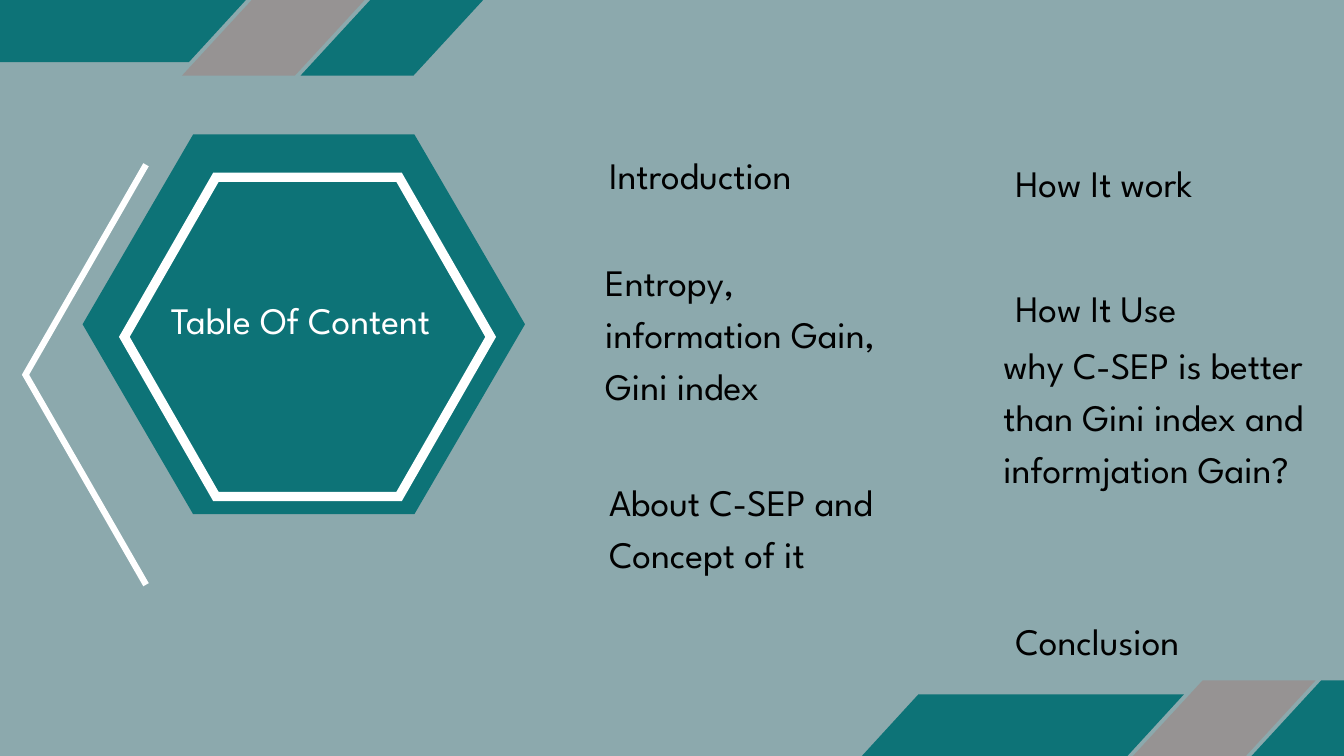
from pptx import Presentation
from pptx.dml.color import RGBColor
from pptx.enum.shapes import MSO_CONNECTOR
from pptx.enum.text import MSO_ANCHOR, MSO_AUTO_SIZE, PP_ALIGN
from pptx.oxml.ns import qn
from pptx.util import Pt
from lxml import etree

FONT = "League Spartan"
TEAL, GRAY, WHITE, BLACK = "0D7377", "969393", "FFFFFF", "000000"


def color(hex_code):
    return RGBColor.from_string(hex_code)


def add_outline(page, contours, fill):
    """Draw closed contours, given in points, as one filled shape."""
    first, *others = [[(Pt(x), Pt(y)) for x, y in contour] for contour in contours]
    builder = page.shapes.build_freeform(*first[0])
    builder.add_line_segments(first[1:])
    for contour in others:
        builder.move_to(*contour[0])
        builder.add_line_segments(contour[1:])
    shape = builder.convert_to_shape()
    shape.shadow.inherit = False
    shape.fill.solid()
    shape.fill.fore_color.rgb = color(fill)
    shape.line.fill.background()


def hexagon(left, top, width, height):
    inset, middle = width / 4, top + height / 2
    right, bottom = left + width, top + height
    return [(right, middle), (right - inset, bottom), (left + inset, bottom),
            (left, middle), (left + inset, top), (right - inset, top)]


def parallelogram(left, top, width, height, slant):
    right, bottom = left + width, top + height
    return [(left + slant, top), (right, top), (right - slant, bottom), (left, bottom)]


def add_band(page, left, top):
    """Long teal stripe followed by a gray and a teal one."""
    add_outline(page, [parallelogram(left, top, 345.5, 66.5, 61)], TEAL)
    for offset, fill in ((277, GRAY), (404, TEAL)):
        add_outline(page, [parallelogram(left + offset, top - 15, 209.5, 96, 88.5)], fill)


def add_badge(page, left, top, width, height):
    """Teal hexagon with a white ring inside."""
    add_outline(page, [hexagon(left, top, width, height)], TEAL)
    ring = hexagon(left + 39, top + 41, 404, 352)
    hole = hexagon(left + 50.5, top + 51, 381, 332)
    add_outline(page, [ring, hole[::-1]], WHITE)


def add_chevron(page, left, top, width, height):
    right, middle = left + width, top + height / 2
    for end_y, tip_y in ((top + height, middle - 1.5), (top, middle + 1.5)):
        line = page.shapes.add_connector(
            MSO_CONNECTOR.STRAIGHT, Pt(right), Pt(end_y), Pt(left), Pt(tip_y))
        line.line.color.rgb = color(WHITE)
        line.line.width = Pt(6.75)
        etree.SubElement(line.element.spPr, qn("a:effectLst"))


def fill_text(box, text, line_spacing, hex_code, align=PP_ALIGN.LEFT):
    frame = box.text_frame
    frame.word_wrap = True
    frame.auto_size = MSO_AUTO_SIZE.NONE
    frame.vertical_anchor = MSO_ANCHOR.TOP
    frame.margin_left = frame.margin_top = frame.margin_right = frame.margin_bottom = 0
    para = frame.paragraphs[0]
    para.text = text
    para.alignment = align
    para.line_spacing = Pt(line_spacing)
    para.font.name = FONT
    para.font.size = Pt(40)
    para.font.color.rgb = color(hex_code)


def add_title(page, left, top, width, height):
    title = page.shapes.title
    title.left, title.top, title.width, title.height = map(Pt, (left, top, width, height))
    fill_text(title, "Table Of Content", 40, WHITE, PP_ALIGN.CENTER)
    title.element.getparent().append(title.element)  # in front of the badge


def add_topics(page, topics):
    for text, *bounds in topics:
        box = page.shapes.add_textbox(*map(Pt, bounds))
        fill_text(box, text, 56, BLACK)


def main():
    deck = Presentation()
    deck.slide_width, deck.slide_height = Pt(1440), Pt(810)
    page = deck.slides.add_slide(deck.slide_layouts[5])
    page.background.fill.solid()
    page.background.fill.fore_color.rgb = color("8CA9AD")

    # Corner bands
    add_band(page, -82, 0)
    add_band(page, 923, 744)

    # Title badge
    add_badge(page, 88.5, 144, 474, 407)
    add_chevron(page, 26.5, 176.5, 130, 450)
    add_title(page, 175.5, 326, 293, 81)

    # Topics: text, left, top, width, height
    add_topics(page, [
        ("Introduction", 652.5, 155.5, 295, 53),
        ("Entropy, information Gain, Gini index", 648.5, 269.5, 299.5, 220),
        ("About C-SEP and Concept of it", 652.5, 505.5, 295, 164),
        ("How It work", 1088, 164, 254, 109),
        ("How It Use", 1088, 297.5, 254, 53),
        ("why C-SEP is better than Gini index and informjation Gain?",
         1075, 358.5, 335, 276),
        ("Conclusion", 1088, 654.5, 254, 53),
    ])
    deck.save("out.pptx")


if __name__ == "__main__":
    main()
